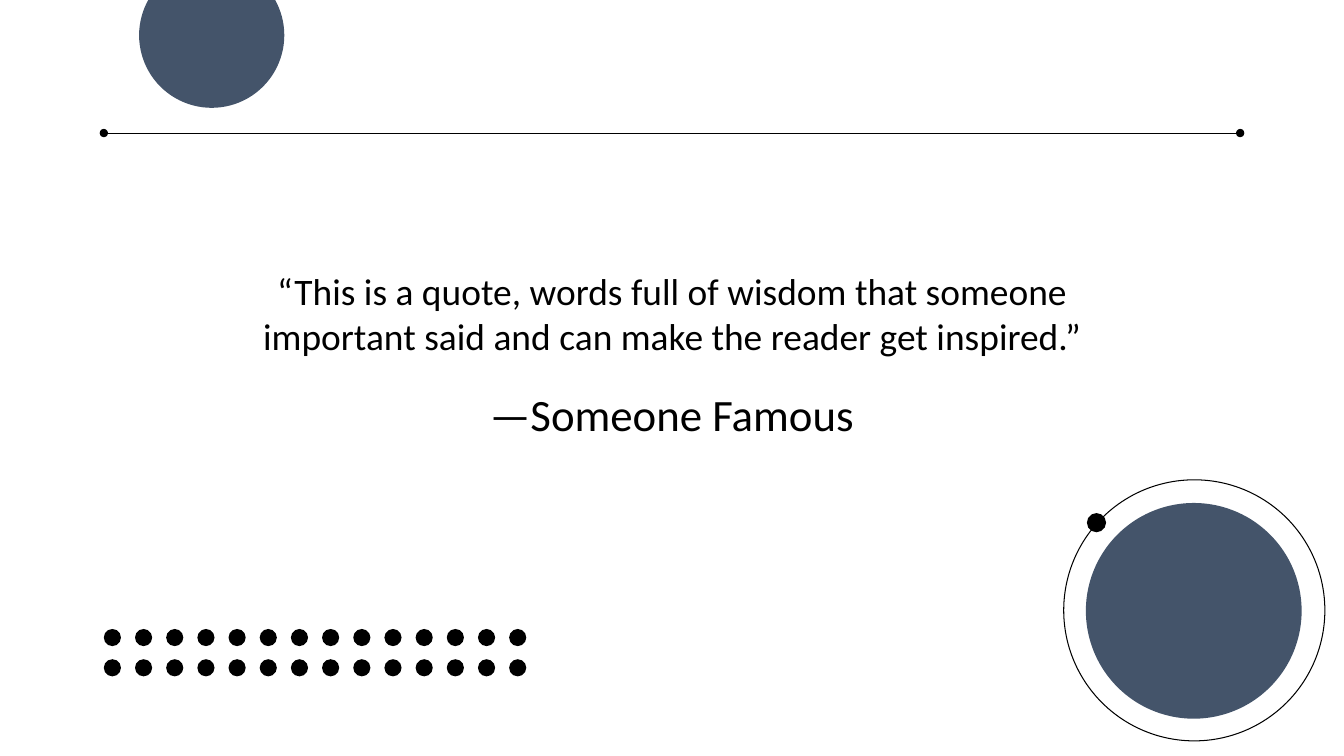
import pptx
import pptx.dml.color
import pptx.enum.shapes
import pptx.enum.text
import pptx.oxml
import pptx.oxml.ns
import pptx.util
from pptx.util import Inches

FONT = "Calibri"
BLACK = "000000"
SLATE = "44546A"
DOT_COLUMNS = 14
DOT_ROWS = 2


def color(hex_string):
    return pptx.dml.color.RGBColor.from_string(hex_string)


def add_circle(shapes, left, top, diameter, fill=None, line=None):
    circle = shapes.add_shape(
        pptx.enum.shapes.MSO_SHAPE.OVAL,
        Inches(left), Inches(top), Inches(diameter), Inches(diameter))
    circle.shadow.inherit = False
    if fill:
        circle.fill.solid()
        circle.fill.fore_color.rgb = color(fill)
    else:
        circle.fill.background()
    if line:
        circle.line.color.rgb = color(line)
        circle.line.width = pptx.util.Pt(0.75)
    else:
        circle.line.fill.background()
    return circle


def add_oval_ended_line(shapes, left, right, y):
    connector = shapes.add_connector(
        pptx.enum.shapes.MSO_CONNECTOR.STRAIGHT,
        Inches(left), Inches(y), Inches(right), Inches(y))
    connector.line.color.rgb = color(BLACK)
    connector.line.width = pptx.util.Pt(0.75)
    line_element = connector.line._get_or_add_ln()
    for end in ("a:headEnd", "a:tailEnd"):
        element = pptx.oxml.ns.qn(end)
        line_element.append(line_element.makeelement(element, {"type": "oval"}))
    properties = connector._element.spPr
    properties.append(properties.makeelement(pptx.oxml.ns.qn("a:effectLst"), {}))


def write_centred(shape, text, size, anchor, line_spacing):
    frame = shape.text_frame
    frame.word_wrap = True
    frame.auto_size = pptx.enum.text.MSO_AUTO_SIZE.NONE
    frame.vertical_anchor = anchor
    frame.margin_left = frame.margin_right = Inches(0.13)
    frame.margin_top = frame.margin_bottom = Inches(0.13)
    paragraph = frame.paragraphs[0]
    paragraph.alignment = pptx.enum.text.PP_ALIGN.CENTER
    paragraph.line_spacing = line_spacing
    paragraph.space_before = pptx.util.Pt(0)
    run = paragraph.add_run()
    run.text = text
    run.font.name = FONT
    run.font.size = pptx.util.Pt(size)
    run.font.color.rgb = color(BLACK)


def add_quote(slide):
    quote = slide.shapes.add_textbox(
        Inches(2.11), Inches(2.46), Inches(9.12), Inches(1.22))
    write_centred(
        quote,
        "“This is a quote, words full of wisdom that someone important said "
        "and can make the reader get inspired.”",
        26.7, pptx.enum.text.MSO_ANCHOR.BOTTOM, 1.0)


def set_title(slide):
    title = slide.shapes.title
    title.left, title.top = Inches(3.32), Inches(3.75)
    title.width, title.height = Inches(6.69), Inches(0.78)
    write_centred(title, "—Someone Famous", 32,
                  pptx.enum.text.MSO_ANCHOR.MIDDLE, 0.9)


def add_orbit(slide):
    """Ring with a small dot on it, around a filled circle."""
    orbit = slide.shapes.add_group_shape()
    add_circle(orbit.shapes, 10.55, 4.76, 2.59, line=BLACK)
    add_circle(orbit.shapes, 10.78, 5.09, 0.19, fill=BLACK)
    add_circle(slide.shapes, 10.77, 4.99, 2.14, fill=SLATE)


def add_dot_grid(slide):
    grid = slide.shapes.add_group_shape()
    column_pitch = (5.05 - 1.03) / (DOT_COLUMNS - 1)
    for column in range(DOT_COLUMNS):
        for row in range(DOT_ROWS):
            add_circle(grid.shapes, 1.03 + column * column_pitch,
                       6.24 + row * 0.3, 0.17, fill=BLACK)


def main():
    presentation = pptx.Presentation()
    presentation.slide_width = Inches(13.33)
    presentation.slide_height = Inches(7.5)
    slide = presentation.slides.add_slide(presentation.slide_layouts[5])
    slide.background.fill.solid()
    slide.background.fill.fore_color.rgb = color("FFFFFF")
    add_quote(slide)
    set_title(slide)
    add_orbit(slide)
    add_oval_ended_line(slide.shapes, 1.03, 12.3, 1.32)
    add_circle(slide.shapes, 1.38, -0.37, 1.44, fill=SLATE)
    add_dot_grid(slide)
    presentation.save("out.pptx")


if __name__ == "__main__":
    main()
